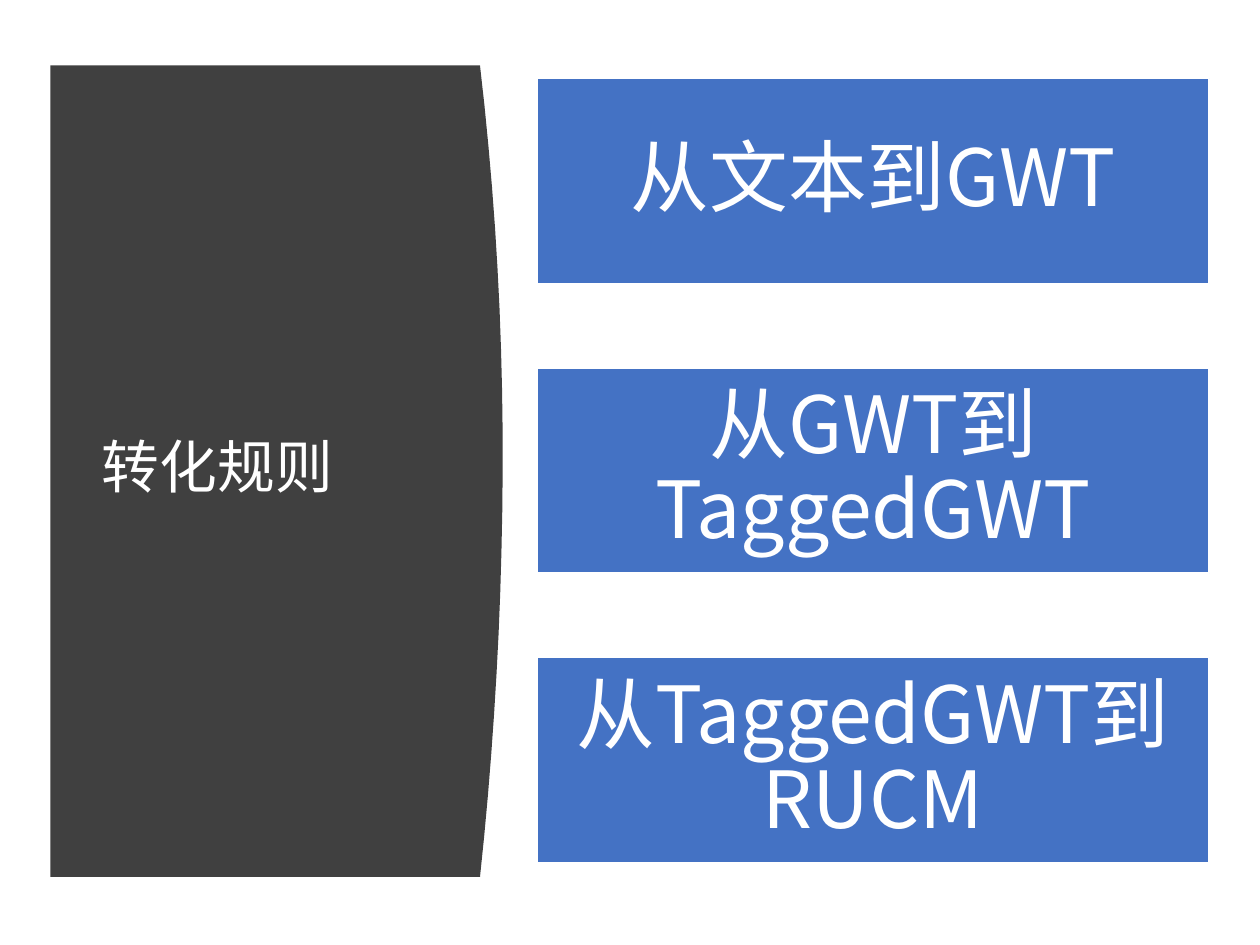
from dataclasses import dataclass

from lxml import etree
from pptx import Presentation
from pptx.dml.color import RGBColor
from pptx.enum.shapes import MSO_SHAPE
from pptx.enum.text import MSO_ANCHOR, PP_ALIGN
from pptx.oxml.ns import qn
from pptx.util import Pt

RECTANGLE = MSO_SHAPE.RECTANGLE
MIDDLE = MSO_ANCHOR.MIDDLE
LEFT, CENTER = PP_ALIGN.LEFT, PP_ALIGN.CENTER

FONT = "Noto Sans CJK SC"
COLORS = {"panel": "404040", "rule": "4472C4", "white": "FFFFFF"}


@dataclass(frozen=True)
class Box:
    left: float
    top: float
    width: float
    height: float

    def lengths(self) -> tuple:
        return tuple(Pt(v) for v in (self.left, self.top, self.width, self.height))


@dataclass(frozen=True)
class TextStyle:
    size: float
    align: PP_ALIGN
    side_inset: float
    end_inset: float


TITLE_STYLE = TextStyle(33, LEFT, 7.2, 3.6)
RULE_STYLE = TextStyle(45, CENTER, 2.25, 2.25)

PANEL = Box(28.8, 37.44, 245.52, 463.68)
PANEL_BULGE = 12.96
BULGE_PEAK = 259.2
CURVE_STEPS = 20

TITLE_BOX = Box(51.12, 79.92, 201.6, 377.28)
FIRST_RULE = Box(306.9, 44.8, 384.2, 117.2)
RULE_PITCH = 165.5
RULES = ("从文本到GWT", "从GWT到TaggedGWT", "从TaggedGWT到RUCM")


def color(name: str) -> RGBColor:
    return RGBColor.from_string(COLORS[name])


def write_text(shape, text: str, style: TextStyle) -> None:
    frame = shape.text_frame
    frame.word_wrap = True
    frame.vertical_anchor = MIDDLE
    frame.margin_left = frame.margin_right = Pt(style.side_inset)
    frame.margin_top = frame.margin_bottom = Pt(style.end_inset)
    paragraph = frame.paragraphs[0]
    paragraph.alignment = style.align
    paragraph.line_spacing = 0.9
    run = paragraph.add_run()
    run.text = text
    run.font.size = Pt(style.size)
    run.font.name = FONT
    run.font.color.rgb = color("white")
    # Chinese characters take the East Asian font
    east_asian = etree.SubElement(run.font._element, qn("a:ea"))
    east_asian.set("typeface", FONT)


def curve_point(y: float) -> tuple:
    """Point on the panel's right edge: a parabola on each side of its peak."""
    top, bottom = PANEL.top, PANEL.top + PANEL.height
    reach = BULGE_PEAK - top if y < BULGE_PEAK else bottom - BULGE_PEAK
    offset = (y - BULGE_PEAK) / reach
    x = PANEL.left + PANEL.width + PANEL_BULGE * (1 - offset ** 2)
    return Pt(x), Pt(y)


def draw_panel(slide) -> None:
    bottom = PANEL.top + PANEL.height
    step = PANEL.height / CURVE_STEPS
    edge = [curve_point(PANEL.top + i * step) for i in range(CURVE_STEPS + 1)]
    builder = slide.shapes.build_freeform(Pt(PANEL.left), Pt(PANEL.top))
    builder.add_line_segments(edge + [(Pt(PANEL.left), Pt(bottom))], close=True)
    shape = builder.convert_to_shape()
    shape.shadow.inherit = False
    shape.fill.solid()
    shape.fill.fore_color.rgb = color("panel")
    shape.line.fill.background()


def draw_rule(slide, box: Box, text: str) -> None:
    shape = slide.shapes.add_shape(RECTANGLE, *box.lengths())
    shape.shadow.inherit = False
    shape.fill.solid()
    shape.fill.fore_color.rgb = color("rule")
    shape.line.color.rgb = color("white")
    shape.line.width = Pt(1)
    write_text(shape, text, RULE_STYLE)


def main() -> None:
    presentation = Presentation()
    presentation.slide_width, presentation.slide_height = Pt(720), Pt(540)
    slide = presentation.slides.add_slide(presentation.slide_layouts[6])

    # Dark panel with the title
    draw_panel(slide)
    title = slide.shapes.add_textbox(*TITLE_BOX.lengths())
    write_text(title, "转化规则", TITLE_STYLE)

    # Conversion rules, evenly spaced
    for i, text in enumerate(RULES):
        top = FIRST_RULE.top + i * RULE_PITCH
        box = Box(FIRST_RULE.left, top, FIRST_RULE.width, FIRST_RULE.height)
        draw_rule(slide, box, text)

    presentation.save("out.pptx")


if __name__ == "__main__":
    main()
